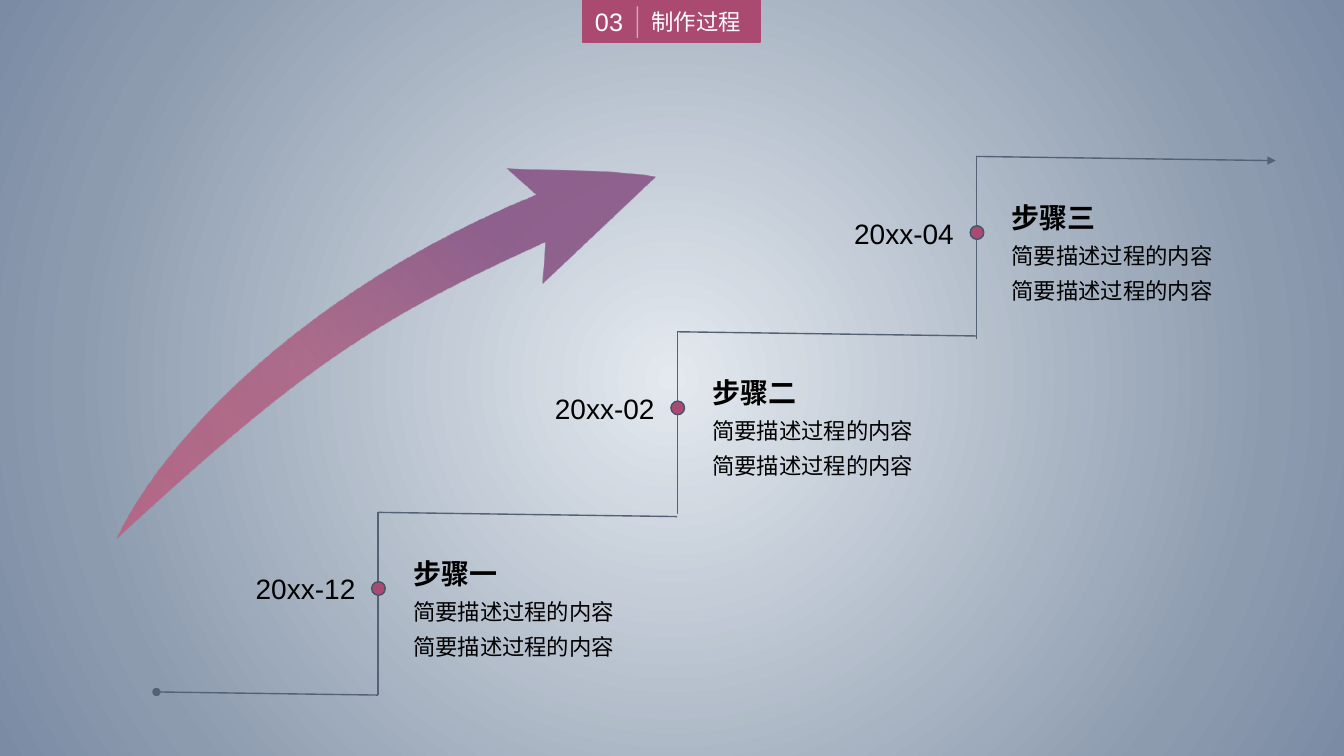
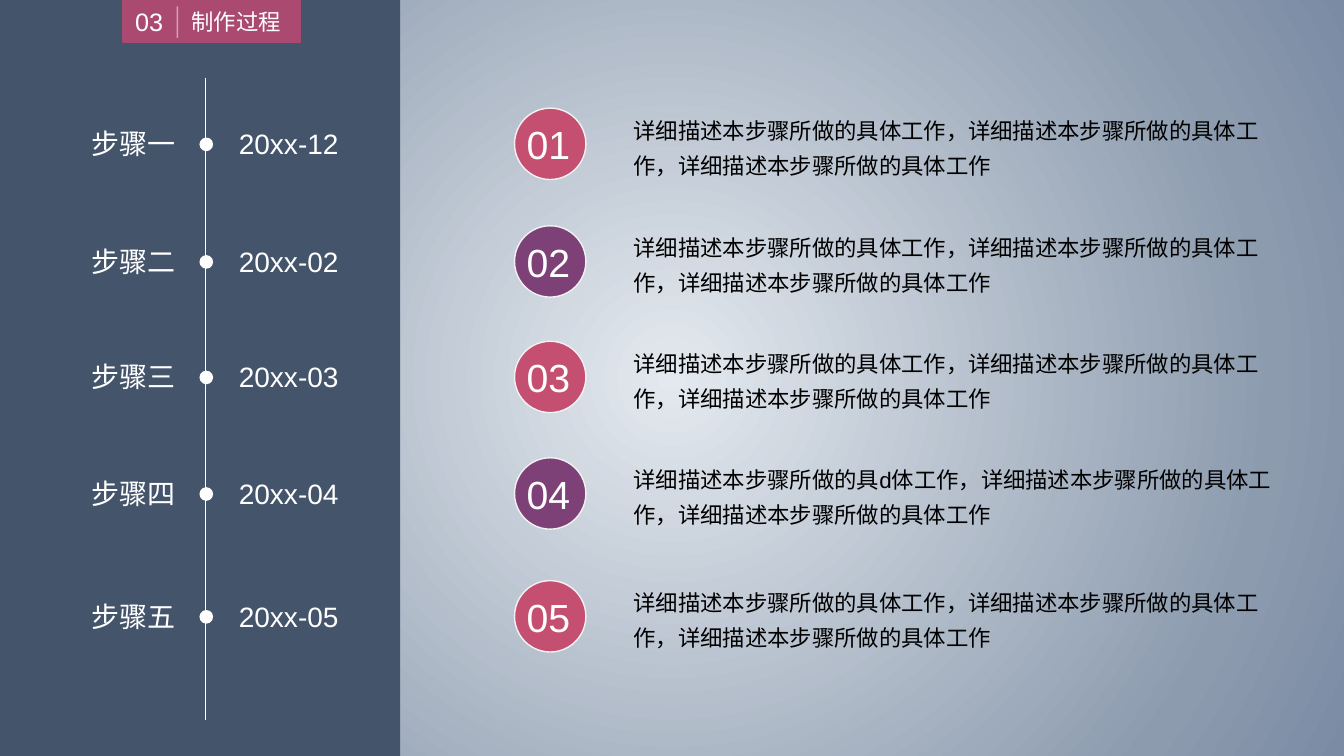
from dataclasses import dataclass
from typing import Optional

from pptx import Presentation
from pptx import util as u
from pptx.dml.color import RGBColor
from pptx.enum import shapes, text
from pptx.oxml import parse_xml
from pptx.oxml.ns import nsdecls, qn
from pptx.oxml.xmlchemy import OxmlElement

EMU_PER_PX = 9525
FONT = "Arial"
WHITE, BLACK = "FFFFFF", "000000"
SLATE, STAIR, BERRY = "44546A", "536275", "AB4A70"
ROSE, PLUM, PALE = "C54F71", "7D4178", "F2F2F2"
LEFT, CENTER, RIGHT = text.PP_ALIGN.LEFT, text.PP_ALIGN.CENTER, text.PP_ALIGN.RIGHT
RECT, OVAL = shapes.MSO_SHAPE.RECTANGLE, shapes.MSO_SHAPE.OVAL


@dataclass(frozen=True)
class Stop:
    pos: int
    color: str
    alpha: int = 100


@dataclass(frozen=True)
class Step:
    x: int
    y: int
    title: str
    date: str


@dataclass(frozen=True)
class Row:
    y: int
    title: str
    date: str
    detail: str


TAG_TITLE = "制作过程"
BACKDROP = [Stop(0, "E4E9EF"), Stop(78, "8C9BAE"), Stop(100, "7B8BA4")]
SWOOSH = [Stop(25, PLUM, 77), Stop(60, BERRY, 68), Stop(100, ROSE, 68)]

STAIR_RUN = 285
SUMMARY = "简要描述过程的内容"
STEPS = [
    Step(360, 560, "步骤一", "20xx-12"),
    Step(360 + STAIR_RUN, 388, "步骤二", "20xx-02"),
    Step(360 + 2 * STAIR_RUN, 221, "步骤三", "20xx-04"),
]

PHRASE = "详细描述本步骤所做的具体工作"
DETAIL = "，".join([PHRASE] * 3)
ROWS = [
    Row(137, "步骤一", "20xx-12", DETAIL),
    Row(249, "步骤二", "20xx-02", DETAIL),
    Row(359, "步骤三", "20xx-03", DETAIL),
    Row(470, "步骤四", "20xx-04", DETAIL.replace("具体", "具d体", 1)),
    Row(587, "步骤五", "20xx-05", DETAIL),
]


def px(value: float) -> int:
    return u.Emu(round(value * EMU_PER_PX))


def rgb(color: str) -> RGBColor:
    return RGBColor.from_string(color)


def apply_gradient(owner, fill, stops: list[Stop], focus: tuple[int, int, int, int]) -> None:
    fill.gradient()
    stop_xml = "".join(
        f'<a:gs pos="{s.pos * 1000}"><a:srgbClr val="{s.color}">'
        f'<a:alpha val="{s.alpha * 1000}"/></a:srgbClr></a:gs>'
        for s in stops
    )
    left, top, right, bottom = (edge * 1000 for edge in focus)
    radial = parse_xml(
        f'<a:gradFill {nsdecls("a")} rotWithShape="1"><a:gsLst>{stop_xml}</a:gsLst>'
        f'<a:path path="circle"><a:fillToRect l="{left}" t="{top}" r="{right}" b="{bottom}"/>'
        "</a:path></a:gradFill>"
    )
    linear = owner.find(".//" + qn("a:gradFill"))
    linear.getparent().replace(linear, radial)


def add_block(canvas, kind, x: int, y: int, w: int, h: int, color: str,
              outline: Optional[str] = None) -> None:
    block = canvas.add_shape(kind, px(x), px(y), px(w), px(h))
    block.shadow.inherit = False
    block.fill.solid()
    block.fill.fore_color.rgb = rgb(color)
    if outline:
        block.line.color.rgb = rgb(outline)
        block.line.width = u.Pt(1)
    else:
        block.line.fill.background()


def add_circle(canvas, x: int, y: int, size: int, color: str,
               outline: Optional[str] = None) -> None:
    add_block(canvas, OVAL, x - size // 2, y - size // 2, size, size, color, outline)


def add_line(canvas, x1: int, y1: int, x2: int, y2: int, color: str,
             alpha: int = 100, head: str = "", tail: str = "") -> None:
    line = canvas.add_connector(shapes.MSO_CONNECTOR.STRAIGHT, px(x1), px(y1), px(x2), px(y2))
    line.line.color.rgb = rgb(color)
    line.line.width = u.Pt(1)
    properties = line.element.spPr
    stroke = properties.find(qn("a:ln"))
    if alpha < 100:
        opacity = OxmlElement("a:alpha")
        opacity.set("val", str(alpha * 1000))
        stroke.find(".//" + qn("a:srgbClr")).append(opacity)
    for tag, ending in (("a:headEnd", head), ("a:tailEnd", tail)):
        if ending:
            arrowhead = OxmlElement(tag)
            arrowhead.set("type", ending)
            stroke.append(arrowhead)
    properties.append(OxmlElement("a:effectLst"))


def add_text(canvas, lines: list[str], x: int, y: int, w: int, h: int, *, size: int,
             color: str = BLACK, bold: bool = False, align=LEFT, spacing: float = 1.0,
             wrap: bool = False, anchor=text.MSO_ANCHOR.TOP) -> None:
    frame = canvas.add_textbox(px(x), px(y), px(w), px(h)).text_frame
    frame.word_wrap = wrap
    frame.auto_size = text.MSO_AUTO_SIZE.SHAPE_TO_FIT_TEXT
    frame.vertical_anchor = anchor
    for index, line in enumerate(lines):
        paragraph = frame.add_paragraph() if index else frame.paragraphs[0]
        paragraph.alignment = align
        paragraph.line_spacing = spacing
        run = paragraph.add_run()
        run.text = line
        run.font.name = FONT
        run.font.size = u.Pt(size)
        run.font.bold = bold
        run.font.color.rgb = rgb(color)


def add_group(slide):
    return slide.shapes.add_group_shape().shapes


def add_section_tag(slide, x: int) -> None:
    tag = add_group(slide)
    middle = text.MSO_ANCHOR.MIDDLE
    add_block(tag, RECT, x, 0, 169, 40, BERRY, BERRY)
    add_text(tag, [TAG_TITLE], x + 56, 3, 113, 35, size=16, color=WHITE, wrap=True, anchor=middle)
    add_text(tag, ["03"], x, 1, 50, 38, size=18, color=WHITE, align=CENTER, wrap=True,
             anchor=middle)
    add_line(tag, x + 52, 6, x + 52, 36, WHITE, alpha=49)


def curve(start: tuple, bend1: tuple, bend2: tuple, end: tuple, pieces: int = 24) -> list[tuple]:
    points = []
    for piece in range(1, pieces + 1):
        t = piece / pieces
        weights = ((1 - t) ** 3, 3 * t * (1 - t) ** 2, 3 * t ** 2 * (1 - t), t ** 3)
        points.append(tuple(
            sum(weight * value for weight, value in zip(weights, axis))
            for axis in zip(start, bend1, bend2, end)
        ))
    return points


def add_rising_arrow(slide) -> None:
    origin, upper_neck, upper_barb = (111, 513), (510, 186), (482, 161)
    tip, lower_barb, lower_neck = (624, 169), (516, 271), (519, 231)
    outline = [
        *curve(origin, (154, 421), (288, 277), upper_neck),
        upper_barb,
        *curve(upper_barb, (529, 164), (576, 161), tip),
        lower_barb,
        lower_neck,
        *curve(lower_neck, (355, 305), (286, 352), origin),
    ]
    builder = slide.shapes.build_freeform(px(origin[0]), px(origin[1]))
    builder.add_line_segments([(px(x), px(y)) for x, y in outline], close=True)
    arrow = builder.convert_to_shape()
    arrow.shadow.inherit = False
    apply_gradient(arrow.element, arrow.fill, SWOOSH, (100, 0, 0, 100))
    arrow.line.fill.background()


def add_step(slide, step: Step, last: bool) -> None:
    x, y = step.x, step.y
    top = y - 72
    add_line(slide.shapes, x, top, x, y + 102, STAIR)
    add_line(slide.shapes, x, top, x + STAIR_RUN, top + 4, STAIR, tail="triangle" if last else "")
    label = add_group(slide)
    add_circle(label, x, y, 13, BERRY, SLATE)
    add_text(label, [step.title], x + 24, y - 35, 100, 42, size=20, bold=True)
    add_text(label, [SUMMARY] * 2, x + 24, y - 3, 213, 74, size=16, spacing=1.3)
    add_text(label, [step.date], x - 134, y - 20, 122, 42, size=20, align=RIGHT)


def build_stairs(slide) -> None:
    add_section_tag(slide, 555)
    first = STEPS[0]
    add_line(slide.shapes, 149, first.y + 99, first.x, first.y + 102, STAIR, head="oval")
    for step in STEPS:
        add_step(slide, step, step is STEPS[-1])
    add_rising_arrow(slide)


def build_timeline(slide) -> None:
    axis = 196
    add_block(slide.shapes, RECT, 0, 0, 381, 720, SLATE)
    add_section_tag(slide, 117)
    add_line(slide.shapes, axis, 74, axis, 686, WHITE)
    for row in ROWS:
        milestone = add_group(slide)
        add_circle(milestone, axis, row.y, 13, WHITE)
        for label, x, width in ((row.title, 77, 100), (row.date, 210, 122)):
            add_text(milestone, [label], x, row.y - 21, width, 42, size=20, color=WHITE,
                     align=RIGHT)
    for number, row in enumerate(ROWS, start=1):
        entry = add_group(slide)
        add_text(entry, [row.detail], 594, row.y - 38, 635, 77, size=16, spacing=1.3, wrap=True)
        add_circle(entry, 524, row.y, 68, ROSE if number % 2 else PLUM, PALE)
        add_text(entry, [f"{number:02}"], 492, row.y - 27, 63, 55, size=28, color=WHITE)


def main() -> None:
    deck = Presentation()
    deck.slide_width, deck.slide_height = px(1280), px(720)
    master = deck.slide_master
    apply_gradient(master.element, master.background.fill, BACKDROP, (50, 50, 50, 50))
    for build in (build_stairs, build_timeline):
        build(deck.slides.add_slide(deck.slide_layouts[6]))
    deck.save("out.pptx")


if __name__ == "__main__":
    main()
